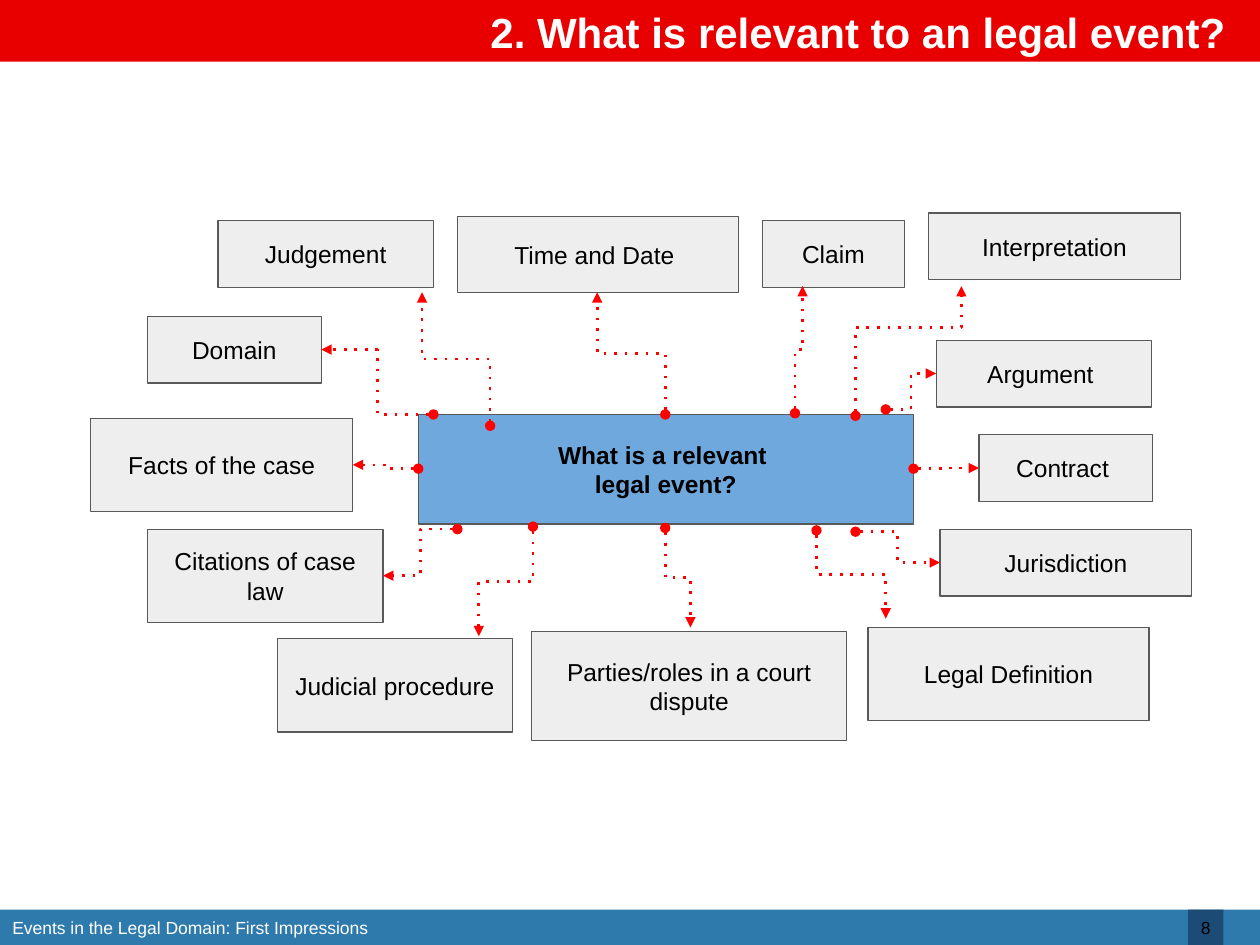
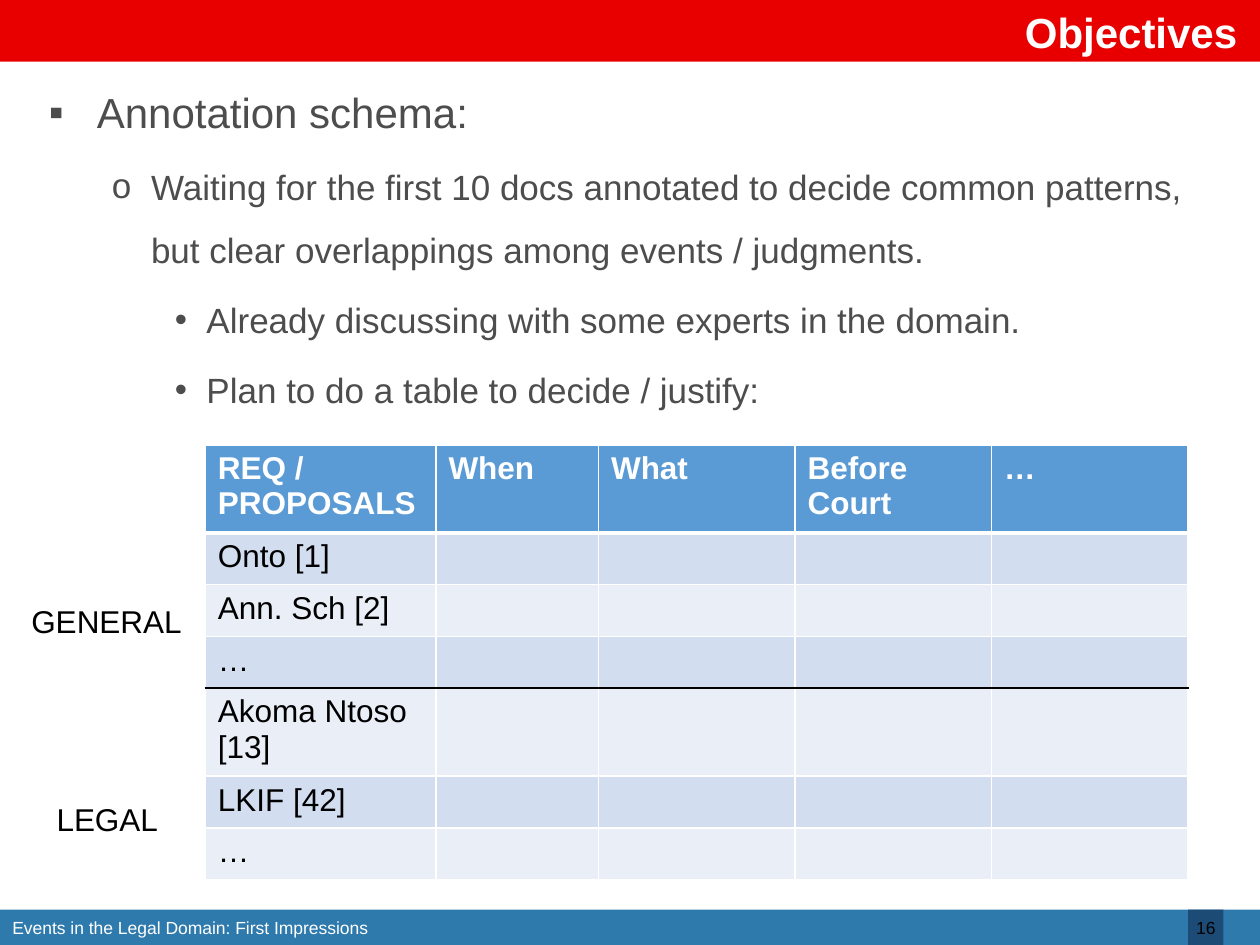
from lxml.etree import SubElement
from pptx import Presentation
from pptx.dml.color import RGBColor
from pptx.enum.shapes import MSO_CONNECTOR as CONNECTOR, MSO_SHAPE as SHAPE
from pptx.enum.text import MSO_ANCHOR as ANCHOR, MSO_AUTO_SIZE as AUTO_SIZE, PP_ALIGN as ALIGN
from pptx.oxml.ns import qn
from pptx.util import Inches, Pt

# Square grid: 10 columns by 7.5 rows
COLUMNS, ROWS = 10, 7.5
CELL = Inches(1)
FONT = "Arial"
RED, BLUE, NAVY = "E80000", "2F7AAD", "1C4C76"
WHITE, BLACK, GREY = "FFFFFF", "000000", "4D4D4D"
CORE_FILL, TOPIC_FILL, OUTLINE, ARROW = "6FA8DC", "EEEEEE", "595959", "FF0000"
HEADER_FILL, ROW_FILLS = "5B9BD5", ("D2DEEF", "EAEFF7")
FOOTER_TOP, FOOTER_HEIGHT = 7.22, 0.28

CORE = ("What is a relevant \nlegal event?", (3.32, 3.29, 3.93, 0.87))

# Label, box, arrow start, arrow end, position of the bend
TOPICS_ABOVE_AND_BELOW = [
    ("Judgement", (1.73, 1.75, 1.71, 0.53), (3.89, 3.38), (3.35, 2.32), 0.5),
    ("Time and Date ", (3.63, 1.72, 2.23, 0.6), (5.28, 3.29), (4.74, 2.32), 0.5),
    ("Claim", (6.05, 1.75, 1.13, 0.53), (6.31, 3.28), (6.37, 2.27), 0.5),
    ("Interpretation", (7.37, 1.69, 2, 0.53), (6.79, 3.3), (7.63, 2.27), 0.68),
    ("Judicial procedure", (2.2, 5.07, 1.87, 0.74), (4.23, 4.18), (3.8, 5.05), 0.5),
    ("Parties/roles in a court dispute", (4.22, 5.01, 2.5, 0.87),
     (5.28, 4.19), (5.48, 4.98), 0.5),
    ("Legal Definition", (6.89, 4.98, 2.23, 0.74), (6.48, 4.21), (7.03, 4.91), 0.5),
]
# Label, box, arrow start, position of the bend
TOPICS_LEFT = [
    ("Domain", (1.17, 2.51, 1.38, 0.53), (3.44, 3.29), 0.5),
    ("Facts of the case", (0.72, 3.32, 2.08, 0.74), (3.32, 3.72), 0.46),
    ("Citations of case law", (1.17, 4.2, 1.87, 0.74), (3.63, 4.2), 0.5),
]
TOPICS_RIGHT = [
    ("Argument ", (7.43, 2.7, 1.71, 0.53), (7.03, 3.25), 0.5),
    ("Contract ", (7.77, 3.45, 1.38, 0.53), (7.25, 3.72), 0.5),
    ("Jurisdiction", (7.46, 4.2, 2, 0.53), (6.79, 4.22), 0.5),
]

# Text, bullet, text indent, hanging width, size, line spacing
OBJECTIVES = [
    ("Annotation schema:", "▪", 0.38, 0.38, 24, 1),
    ("Waiting for the first 10 docs annotated to decide common patterns, "
     "but clear overlappings among events / judgments.", "o", 0.81, 0.31, 20, 1.5),
    ("Already discussing with some experts in the domain.", "•", 1.25, 0.25, 20, 1.5),
    ("Plan to do a table to decide / justify:", "•", 1.25, 0.25, 20, 1.5),
]
REQUIREMENTS = ["REQ / PROPOSALS", "When", "What", "Before Court", "…"]
PROPOSALS = ["Onto [1]", "Ann. Sch [2]", "…", "Akoma Ntoso [13]", "LKIF [42]", "…"]
GENERAL_COUNT = 3
COLUMN_WIDTHS = [1.83, 1.29, 1.56, 1.56, 1.56]
ROW_HEIGHT = 0.41


def grid(*cells):
    return [round(CELL * cell) for cell in cells]


def color(hex_code):
    return RGBColor.from_string(hex_code)


def write(frame, text, size=14, ink=BLACK, bold=False, align=ALIGN.LEFT,
          anchor=ANCHOR.MIDDLE, margin=None, wrap=True):
    """Fill a text frame, one paragraph for each line of text."""
    frame.word_wrap = wrap
    frame.vertical_anchor = anchor
    if margin is not None:
        inset, = grid(margin)
        frame.margin_left = frame.margin_right = inset
        frame.margin_top = frame.margin_bottom = inset
    frame.text = text
    for paragraph in frame.paragraphs:
        paragraph.alignment = align
        for run in paragraph.runs:
            font = run.font
            font.name, font.size, font.bold = FONT, Pt(size), bold
            font.color.rgb = color(ink)


def box(slide, place, fill, outline=None):
    shape = slide.shapes.add_shape(SHAPE.RECTANGLE, *grid(*place))
    shape.shadow.inherit = False
    shape.fill.solid()
    shape.fill.fore_color.rgb = color(fill)
    if outline:
        shape.line.color.rgb = color(outline)
        shape.line.width = Pt(0.75)
    else:
        shape.line.fill.background()
    return shape


def label(slide, place, text, **text_format):
    frame = slide.shapes.add_textbox(*grid(*place)).text_frame
    write(frame, text, **text_format)
    return frame


def topic(slide, text, place, fill=TOPIC_FILL, bold=False):
    frame = box(slide, place, fill, OUTLINE).text_frame
    write(frame, text, bold=bold, align=ALIGN.CENTER, margin=0.1)


def arrow(slide, start, end, bend, upright=False):
    """Draw a dotted elbow arrow; an upright one leaves its start vertically."""
    (x1, y1), (x2, y2) = start, end
    turn = 0
    if upright:
        # A quarter turn about the centre makes the first leg vertical
        turn = 90 if y2 > y1 else 270
        center_x, center_y = (x1 + x2) / 2, (y1 + y2) / 2
        half_length = abs(y2 - y1) / 2
        half_rise = (x2 - x1) / 2 * (-1 if turn == 90 else 1)
        x1, x2 = center_x - half_length, center_x + half_length
        y1, y2 = center_y - half_rise, center_y + half_rise
    link = slide.shapes.add_connector(CONNECTOR.ELBOW, *grid(x1, y1, x2, y2))
    link.line.color.rgb = color(ARROW)
    link.line.width = Pt(1.5)
    properties = link._element.spPr
    if turn:
        properties.find(qn("a:xfrm")).set("rot", str(turn * 60000))
    adjustments = properties.find(qn("a:prstGeom")).get_or_add_avLst()
    SubElement(adjustments, qn("a:gd"), name="adj1", fmla=f"val {round(bend * 100000)}")
    line = properties.find(qn("a:ln"))
    SubElement(line, qn("a:prstDash"), val="dot")
    SubElement(line, qn("a:headEnd"), type="oval")
    SubElement(line, qn("a:tailEnd"), type="triangle")
    SubElement(properties, qn("a:effectLst"))


def add_bands(slide):
    """Draw the shared bands, then move them to the slide master."""
    bands = [
        box(slide, (0, FOOTER_TOP, COLUMNS, FOOTER_HEIGHT), BLUE),
        box(slide, (0, -0.01, COLUMNS, 0.5), RED),
    ]
    write(bands[0].text_frame, "Events in the Legal Domain: First Impressions",
          size=10, ink=WHITE)
    master_tree = slide.slide_layout.slide_master.shapes._spTree
    for band in bands:
        master_tree.append(band._element)


def add_slide(deck, heading, number):
    slide = deck.slides.add_slide(deck.slide_layouts[5])
    title = slide.shapes.title
    title.left, title.top, title.width, title.height = grid(1.42, 0.09, 8.5, 0.33)
    write(title.text_frame, heading, size=24, ink=WHITE, bold=True, align=ALIGN.RIGHT)
    title.text_frame.auto_size = AUTO_SIZE.NONE
    page = box(slide, (9.43, FOOTER_TOP, FOOTER_HEIGHT, FOOTER_HEIGHT), NAVY)
    write(page.text_frame, str(number), size=10, align=ALIGN.CENTER, margin=0.04)
    return slide


def draw_topic_map(slide):
    topic(slide, *CORE, fill=CORE_FILL, bold=True)
    for text, place, start, end, bend in TOPICS_ABOVE_AND_BELOW:
        topic(slide, text, place)
        arrow(slide, start, end, bend, upright=True)
    for topics, near_edge in ((TOPICS_LEFT, 1), (TOPICS_RIGHT, 0)):
        for text, place, start, bend in topics:
            left, top, width, height = place
            topic(slide, text, place)
            arrow(slide, start, (left + near_edge * width, top + height / 2), bend)


def add_objectives(slide):
    frame = label(slide, (0.29, 0.64, 9.41, 2.8),
                  "\n".join(item[0] for item in OBJECTIVES), ink=GREY, anchor=ANCHOR.TOP)
    for index, (paragraph, item) in enumerate(zip(frame.paragraphs, OBJECTIVES)):
        _, bullet, indent, hanging, size, spacing = item
        paragraph.line_spacing = spacing
        paragraph.space_before = Pt(4 if index else 0)
        paragraph.runs[0].font.size = Pt(size)
        properties = paragraph._p.get_or_add_pPr()
        properties.set("marL", str(round(CELL * indent)))
        properties.set("indent", str(-round(CELL * hanging)))
        SubElement(properties, qn("a:buFont"), typeface=FONT)
        SubElement(properties, qn("a:buChar"), char=bullet)


def set_borders(cell, top, bottom):
    properties = cell._tc.get_or_add_tcPr()
    sides = {"L": (WHITE, 1), "R": (WHITE, 1), "T": top, "B": bottom}
    for side, (ink, width) in sides.items():
        line = SubElement(properties, qn(f"a:ln{side}"), w=str(Pt(width)))
        fill = SubElement(line, qn("a:solidFill"))
        SubElement(fill, qn("a:srgbClr"), val=ink)


def add_proposal_table(slide):
    row_count = len(PROPOSALS) + 1
    place = grid(1.63, 3.53, sum(COLUMN_WIDTHS), row_count * ROW_HEIGHT)
    table = slide.shapes.add_table(row_count, len(REQUIREMENTS), *place).table
    for column, width in zip(table.columns, grid(*COLUMN_WIDTHS)):
        column.width = width
    blanks = [""] * (len(REQUIREMENTS) - 1)
    contents = [REQUIREMENTS] + [[proposal] + blanks for proposal in PROPOSALS]
    edges = {0: (WHITE, 3), GENERAL_COUNT: (BLACK, 1)}
    for row, texts in enumerate(contents):
        table.rows[row].height = round(CELL * ROW_HEIGHT)
        header = row == 0
        for column, text in enumerate(texts):
            cell = table.cell(row, column)
            set_borders(cell, edges.get(row - 1, (WHITE, 1)), edges.get(row, (WHITE, 1)))
            cell.fill.solid()
            cell.fill.fore_color.rgb = color(HEADER_FILL if header else ROW_FILLS[(row - 1) % 2])
            write(cell.text_frame, text, size=18, ink=WHITE if header else BLACK,
                  bold=header, anchor=ANCHOR.TOP)


def main():
    deck = Presentation()
    deck.slide_width, deck.slide_height = grid(COLUMNS, ROWS)

    relevance = add_slide(deck, "2. What is relevant to an legal event? ", 8)
    add_bands(relevance)
    draw_topic_map(relevance)

    objectives = add_slide(deck, "Objectives", 16)
    add_objectives(objectives)
    add_proposal_table(objectives)
    label(objectives, (0.15, 4.73, 1.41, 0.4), "GENERAL", size=18, wrap=False)
    label(objectives, (0.35, 6.3, 1.02, 0.4), "LEGAL", size=18, wrap=False)

    deck.save("out.pptx")


if __name__ == "__main__":
    main()
